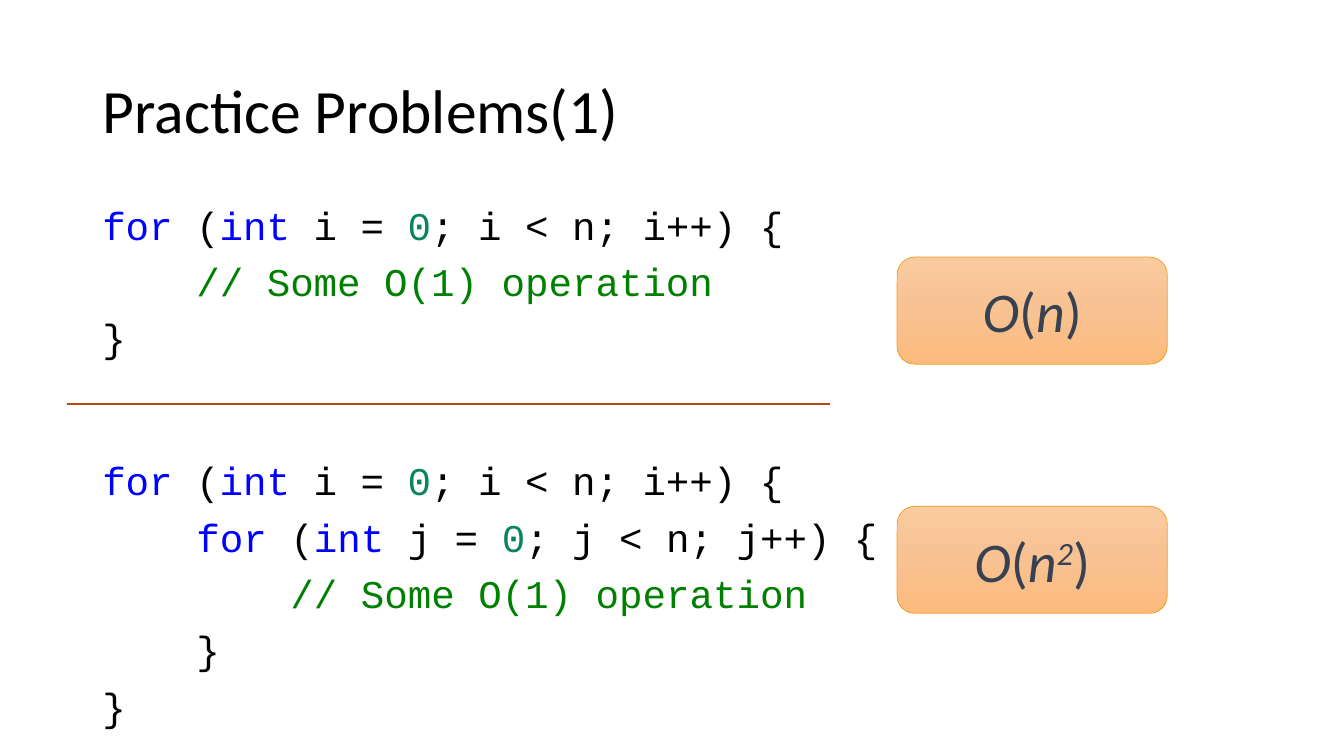
"""Build the practice slide on the running time of loops."""
import copy
import pptx
import pptx.util
import pptx.dml.color
import pptx.enum.shapes
import pptx.enum.text
import pptx.oxml.ns
import lxml.etree

Pt = pptx.util.Pt
RGB = pptx.dml.color.RGBColor
ALIGN = pptx.enum.text.PP_ALIGN
MIDDLE = pptx.enum.text.MSO_ANCHOR.MIDDLE
qn = pptx.oxml.ns.qn

BLACK = RGB(0x00, 0x00, 0x00)
BLUE = RGB(0x00, 0x00, 0xFF)
TEAL = RGB(0x09, 0x86, 0x58)
GREEN = RGB(0x00, 0x80, 0x00)
SLATE = RGB(0x37, 0x41, 0x51)
AMBER = RGB(0xF1, 0x9D, 0x19)
RUST = RGB(0xB7, 0x49, 0x19)
SHADES = [(0, RGB(0xFA, 0xCB, 0xA0)), (0.5, RGB(0xF8, 0xC2, 0x92)),
          (1, RGB(0xFC, 0xBA, 0x7D))]


def write(para, text, font="Calibri", size=40, color=BLACK, slant=False, raised=False):
    run = para.add_run()
    run.text = text
    run.font.name = font
    run.font.size = Pt(size)
    run.font.color.rgb = color
    run.font.italic = slant
    if raised:
        run.font._element.set("baseline", "30000")


deck = pptx.Presentation()
deck.slide_width, deck.slide_height = Pt(960), Pt(540)
slide = deck.slides.add_slide(deck.slide_layouts[5])
shapes = slide.shapes

title = shapes.title
title.left, title.top, title.width, title.height = Pt(66), Pt(28.75), Pt(828), Pt(104.4)
title.text_frame.vertical_anchor = MIDDLE
head = title.text_frame.paragraphs[0]
head.alignment = ALIGN.LEFT
head.line_spacing = 0.9
write(head, "Practice Problems(1)", size=44)


def loop(name):
    return [("for", BLUE), (" (", BLACK), ("int", BLUE), (f" {name} = ", BLACK),
            ("0", TEAL), (f"; {name} < n; {name}++) {{", BLACK)]


note = [("// Some O(1) operation", GREEN)]
close = [("}", BLACK)]
GAP, BREAK = 10, 72
TAB = 4 * 0.6 * 28
lines = [(0, GAP, loop("i")), (1, GAP, note), (0, GAP, close),
         (0, BREAK, loop("i")), (1, GAP, loop("j")), (2, GAP, note),
         (1, GAP, close), (0, GAP, close)]

code = shapes.add_textbox(Pt(66), Pt(143.75), Pt(828), Pt(396)).text_frame
code.word_wrap = True
for row, (depth, space, parts) in enumerate(lines):
    para = code.add_paragraph() if row else code.paragraphs[0]
    para.line_spacing = 0.9
    para.space_before = Pt(space)
    para._p.get_or_add_pPr().set("marL", str(Pt(depth * TAB)))
    for text, color in parts:
        write(para, text, font="Courier New", size=28, color=color)

for top, power in [(183.6, ""), (361.6, "2")]:
    box = shapes.add_shape(pptx.enum.shapes.MSO_SHAPE.ROUNDED_RECTANGLE,
                           Pt(640.8), Pt(top), Pt(193), Pt(76.5))
    box.shadow.inherit = False
    box.fill.gradient()
    box.fill.gradient_angle = 270
    stops = box._element.spPr.find(qn("a:gradFill")).find(qn("a:gsLst"))
    stops.append(copy.deepcopy(stops[0]))
    for stop, (place, shade) in zip(box.fill.gradient_stops, SHADES):
        stop.position = place
        stop.color.rgb = shade
    box.line.color.rgb = AMBER
    box.line.width = Pt(0.5)
    box.text_frame.vertical_anchor = MIDDLE
    para = box.text_frame.paragraphs[0]
    para.alignment = ALIGN.CENTER
    write(para, "O", color=SLATE, slant=True)
    write(para, "(", color=SLATE)
    write(para, "n", color=SLATE, slant=True)
    if power:
        write(para, power, color=SLATE, slant=True, raised=True)
    write(para, ")", color=SLATE)

rule = shapes.add_connector(pptx.enum.shapes.MSO_CONNECTOR.STRAIGHT,
                            Pt(48), Pt(288.5), Pt(593), Pt(288.5))
rule.line.color.rgb = RUST
rule.line.width = Pt(1.5)
lxml.etree.SubElement(rule._element.spPr, qn("a:effectLst"))

deck.save("out.pptx")
